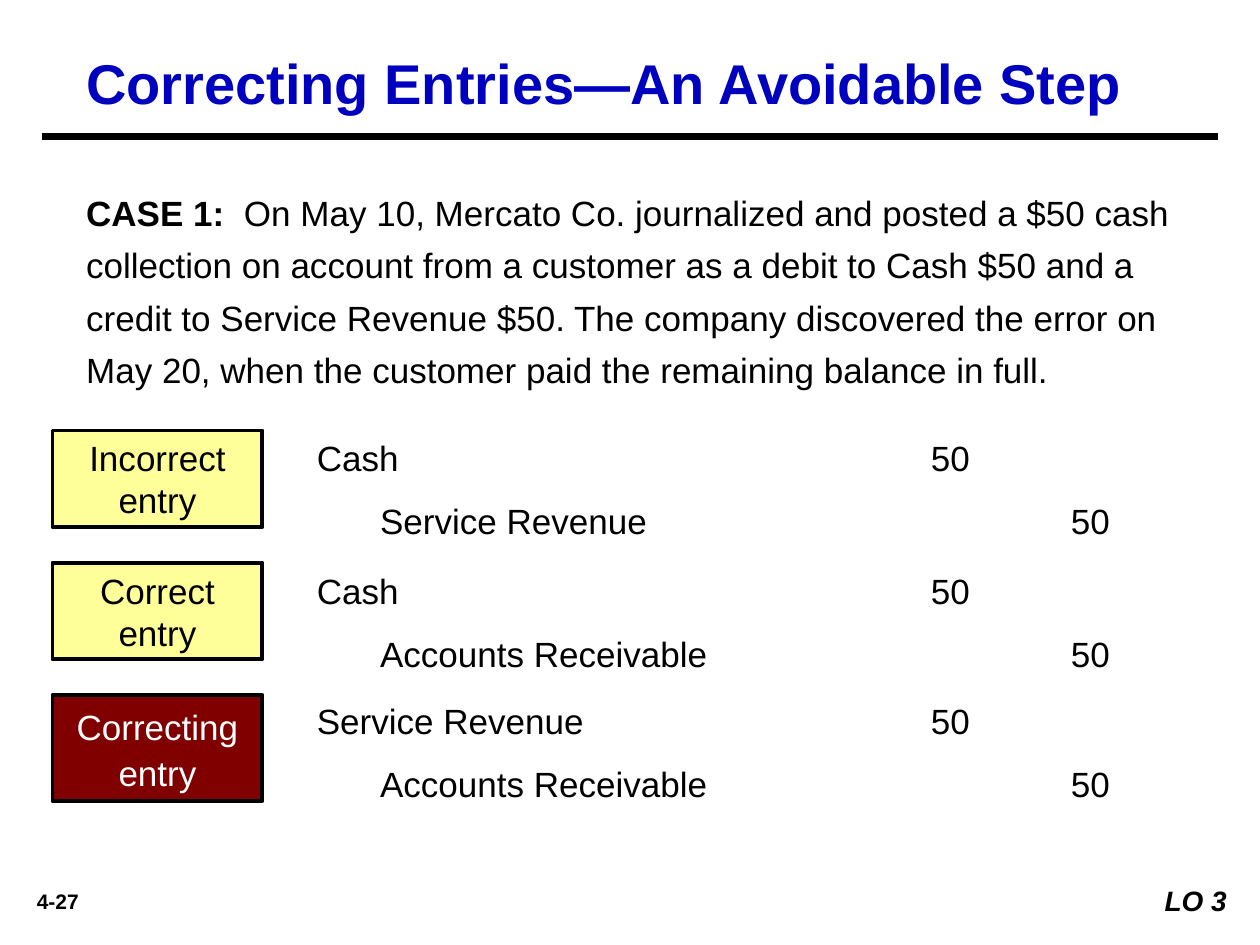
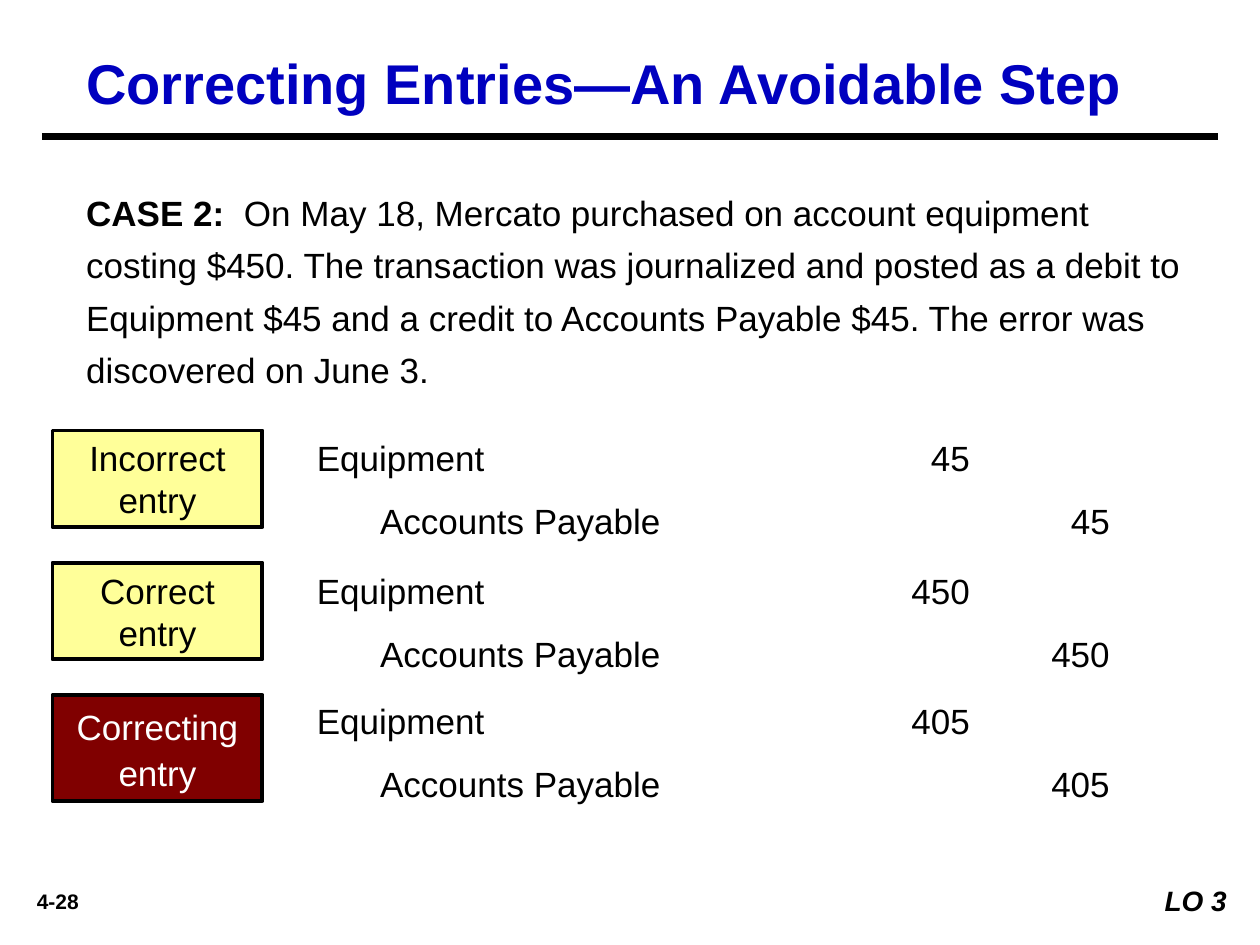
import pptx
import pptx.dml.color
import pptx.enum.shapes
import pptx.enum.text
import pptx.oxml.ns
import pptx.util
from lxml import etree

EMU_PER_PX = 7620  # 120 px to the inch
FONT = "Arial"
BODY_SIZE = 20
COLORS = {
    "text": "000000",
    "title": "0000BF",
    "paper": "FFFFFF",
    "entry": "FFFF99",
    "correction": "800000",
}
ALIGN = pptx.enum.text.PP_ALIGN
TITLE = "Correcting Entries—An Avoidable Step"
OBJECTIVE = "LO 3"
INSET = (12, 6, 12, 6)
ACCOUNT_INDENT = 60
DEBIT_EDGE = 622
CREDIT_EDGE = 755

# label lines, fill, text colour, label top, label height, line spacing, ledger top
ENTRY_ROWS = [
    (("Incorrect", "entry"), "entry", "text", 410, 92, 1.0, 410),
    (("Correct", "entry"), "entry", "text", 536, 92, 1.0, 536),
    (("Correcting", "entry"), "correction", "paper", 662, 101, 1.1, 660),
]

# page number, case heading, case story, (debit account, credit account, amount)
CASES = [
    (
        "4-27",
        "CASE 1:  ",
        "On May 10, Mercato Co. journalized and posted a $50 cash collection on "
        "account from a customer as a debit to Cash $50 and a credit to Service "
        "Revenue $50. The company discovered the error on May 20, when the "
        "customer paid the remaining balance in full.",
        [
            ("Cash", "Service Revenue", "50"),
            ("Cash", "Accounts Receivable", "50"),
            ("Service Revenue", "Accounts Receivable", "50"),
        ],
    ),
    (
        "4-28",
        "CASE 2:  ",
        "On May 18, Mercato purchased on account equipment costing $450. The "
        "transaction was journalized and posted as a debit to Equipment $45 and "
        "a credit to Accounts Payable $45. The error was discovered on June 3.",
        [("Equipment", "Accounts Payable", amount) for amount in ("45", "450", "405")],
    ),
]


def px(length):
    return pptx.util.Emu(length * EMU_PER_PX)


def rgb(name):
    return pptx.dml.color.RGBColor.from_string(COLORS[name])


def add_run(paragraph, text, size=BODY_SIZE, color="text", bold=False, italic=False):
    run = paragraph.add_run()
    run.text = text
    run.font.name = FONT
    run.font.size = pptx.util.Pt(size)
    run.font.bold = bold
    run.font.italic = italic
    run.font.color.rgb = rgb(color)


def place(shape, left, top, width, height):
    shape.left, shape.top = px(left), px(top)
    shape.width, shape.height = px(width), px(height)


def prepare_frame(shape, inset=INSET, align=ALIGN.LEFT, line_spacing=1.0):
    """Set up a wrapping, top-anchored text frame and return its first paragraph."""
    frame = shape.text_frame
    frame.word_wrap = True
    frame.auto_size = pptx.enum.text.MSO_AUTO_SIZE.NONE
    frame.vertical_anchor = pptx.enum.text.MSO_ANCHOR.TOP
    frame.margin_left, frame.margin_top, frame.margin_right, frame.margin_bottom = map(px, inset)
    paragraph = frame.paragraphs[0]
    paragraph.alignment = align
    paragraph.line_spacing = line_spacing
    paragraph.space_before = pptx.util.Pt(0)
    return paragraph


def add_text_box(slide, box, inset=INSET, align=ALIGN.LEFT):
    return prepare_frame(slide.shapes.add_textbox(*map(px, box)), inset, align)


def remove_bullet(paragraph):
    properties = paragraph._p.get_or_add_pPr()
    properties.set("marL", "0")
    properties.set("indent", "0")
    etree.SubElement(properties, pptx.oxml.ns.qn("a:buNone"))


def add_right_tab(paragraph, position):
    tabs = etree.SubElement(paragraph._p.get_or_add_pPr(), pptx.oxml.ns.qn("a:tabLst"))
    etree.SubElement(tabs, pptx.oxml.ns.qn("a:tab"), pos=str(px(position)), algn="r")


def add_title(slide):
    title = slide.shapes.title
    place(title, 70, 40, 1090, 73)
    add_run(prepare_frame(title), TITLE, 32, "title", bold=True)


def add_title_rule(slide):
    rule = slide.shapes.add_connector(
        pptx.enum.shapes.MSO_CONNECTOR.STRAIGHT, px(40), px(130), px(1160), px(130)
    )
    rule.line.color.rgb = rgb("text")
    rule.line.width = pptx.util.Pt(4.5)
    etree.SubElement(rule._element.spPr, pptx.oxml.ns.qn("a:effectLst"))


def add_case(slide, heading, story):
    body = slide.placeholders[1]
    place(body, 70, 166, 1080, 214)
    paragraph = prepare_frame(body, line_spacing=1.25)
    remove_bullet(paragraph)
    add_run(paragraph, heading, bold=True)
    add_run(paragraph, story)


def add_label(slide, lines, fill, color, top, height, line_spacing):
    label = slide.shapes.add_shape(
        pptx.enum.shapes.MSO_SHAPE.RECTANGLE, px(50), px(top), px(200), px(height)
    )
    label.shadow.inherit = False
    label.fill.solid()
    label.fill.fore_color.rgb = rgb(fill)
    label.line.color.rgb = rgb("text")
    label.line.width = pptx.util.Pt(2.25)
    paragraph = prepare_frame(label, (0, 6, 0, 6), ALIGN.CENTER, line_spacing)
    first, second = lines
    add_run(paragraph, first, color=color)
    paragraph.add_line_break()
    add_run(paragraph, second, color=color)


def add_ledger_line(slide, top, account, amount, amount_edge, indent=0):
    """Write an account with its amount right-aligned at amount_edge."""
    left, *other_insets = INSET
    paragraph = add_text_box(slide, (290, top, 840, 54), (left + indent, *other_insets))
    add_right_tab(paragraph, amount_edge - indent)
    add_run(paragraph, f"{account}\t{amount}")


def add_journal_entry(slide, row, entry):
    *label, ledger_top = row
    debit, credit, amount = entry
    add_label(slide, *label)
    add_ledger_line(slide, ledger_top, debit, amount, DEBIT_EDGE)
    add_ledger_line(slide, ledger_top + 60, credit, amount, CREDIT_EDGE, ACCOUNT_INDENT)


def add_footer(slide, page):
    number = add_text_box(slide, (10, 840, 90, 36), align=ALIGN.CENTER)
    add_run(number, page, 12, bold=True)
    objective = add_text_box(slide, (1080, 836, 100, 44), align=ALIGN.RIGHT)
    add_run(objective, OBJECTIVE, 16, bold=True, italic=True)


def main():
    presentation = pptx.Presentation()
    presentation.slide_width, presentation.slide_height = px(1200), px(900)
    for page, heading, story, entries in CASES:
        slide = presentation.slides.add_slide(presentation.slide_layouts[1])
        add_title(slide)
        add_title_rule(slide)
        add_case(slide, heading, story)
        for row, entry in zip(ENTRY_ROWS, entries):
            add_journal_entry(slide, row, entry)
        add_footer(slide, page)
    presentation.save("out.pptx")


if __name__ == "__main__":
    main()
